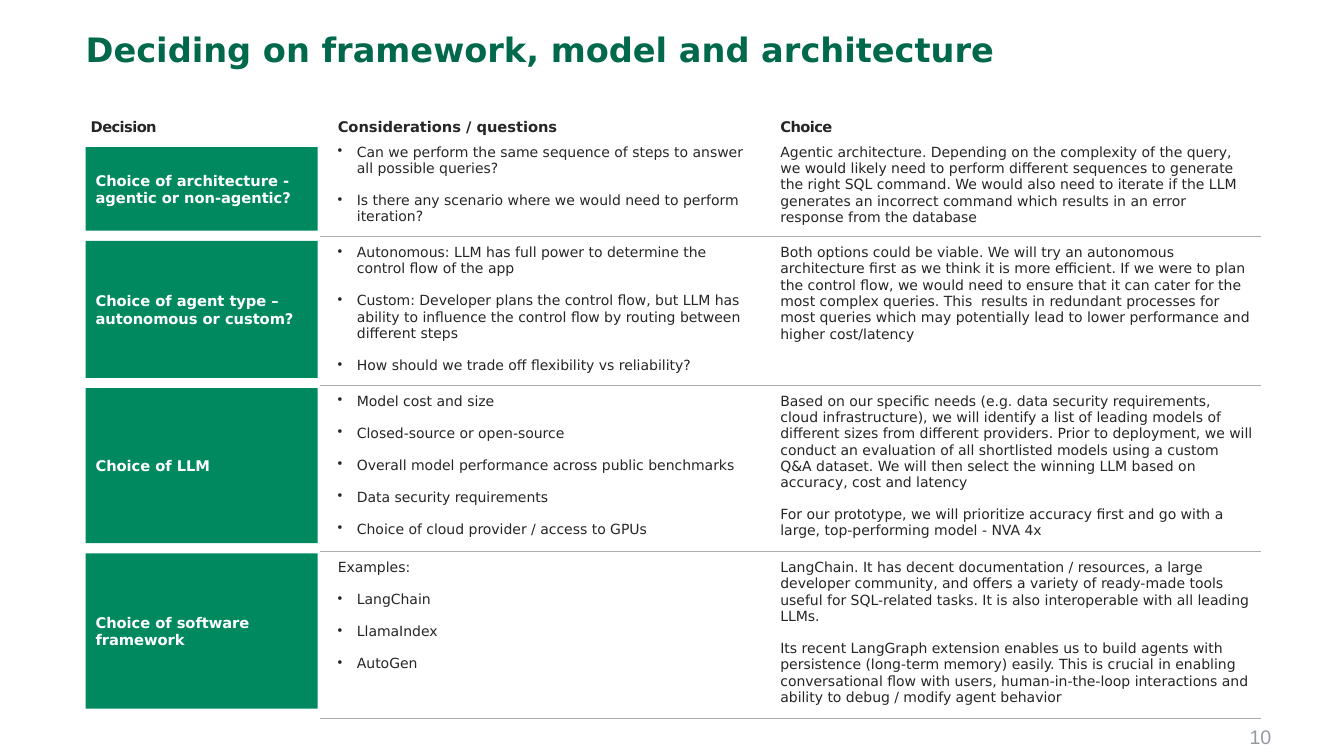
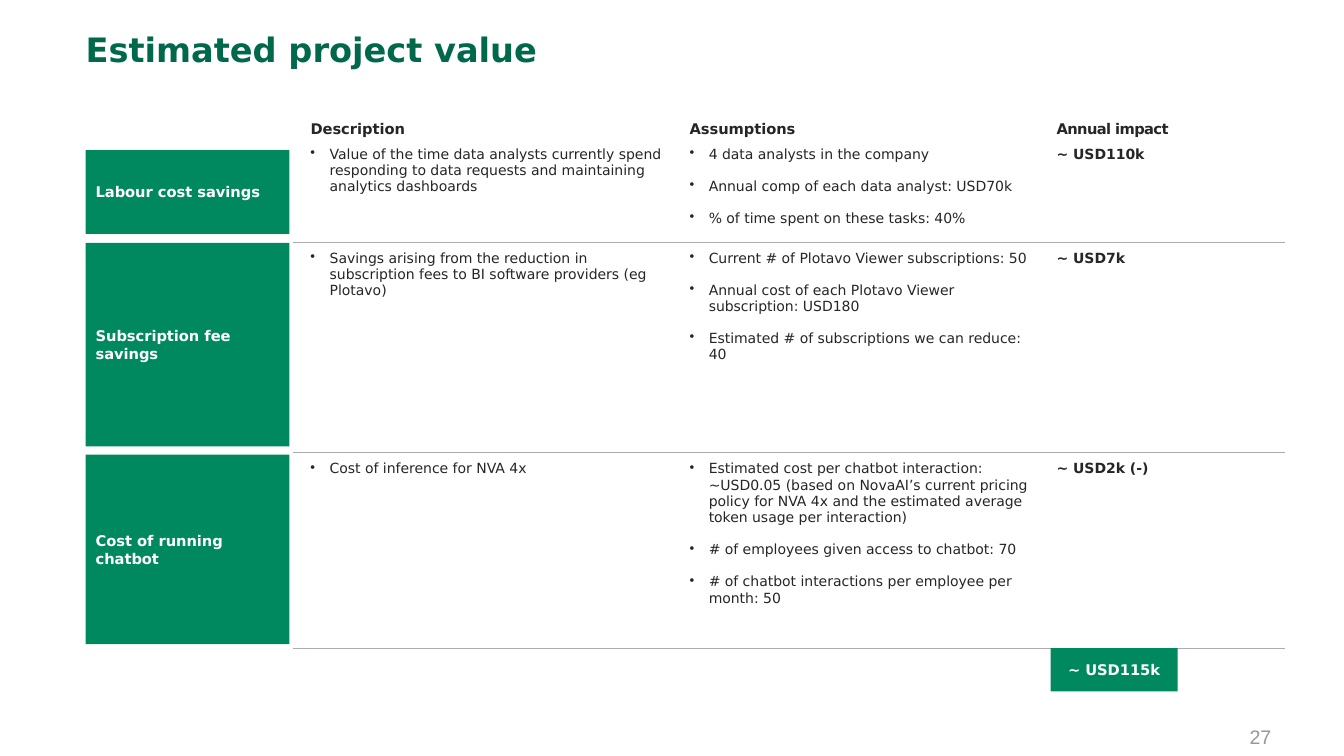
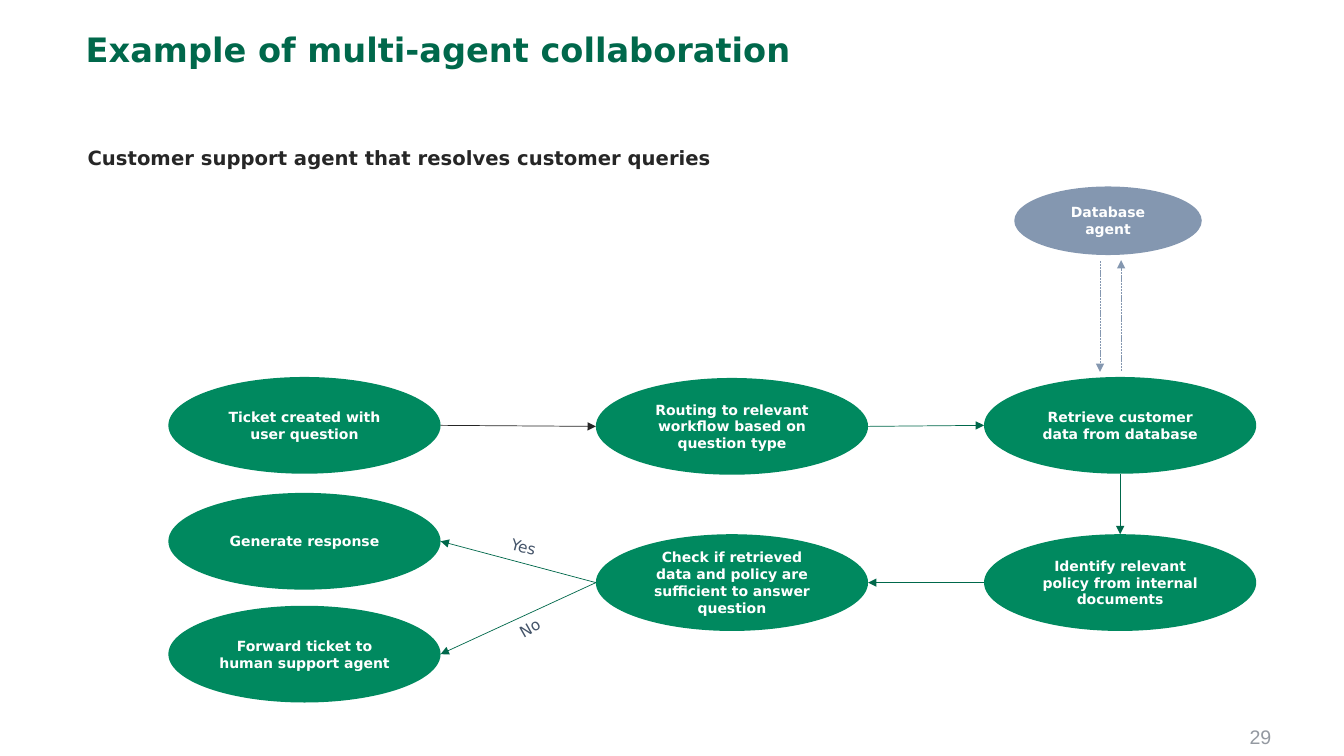
"""Three slides on choosing, valuing and combining LLM agents."""
from lxml import etree
from pptx import Presentation
from pptx.dml.color import RGBColor
from pptx.enum import dml, shapes, text
from pptx.oxml import ns
from pptx.util import Inches, Pt

COLOURS = {
    "title": "00684B", "green": "00895F", "slate": "8497B0", "ink": "262626",
    "white": "FFFFFF", "rule": "AFABAB", "number": "9499A1", "label": "445469",
}
FONT = "DejaVu Sans"
BULLET = "• "
CENTER = text.PP_ALIGN.CENTER

DECISIONS = {
    "title": "Deciding on framework, model and architecture",
    "number": 10,
    "left": 0.73, "top": 1.09,
    "columns": [2.45, 4.39, 4.93],
    "heights": [0.2, 0.87, 1.28, 1.44, 1.44],
    "header": ["Decision", "Considerations / questions", "Choice"],
    "tight": ["Decision", "Choice"],
    "bold_column": None,
    "label_width": 2.3,
    "labels": [
        ("Choice of architecture - agentic or non-agentic?", 1.46, 0.83),
        ("Choice of agent type – autonomous or custom?", 2.39, 1.36),
        ("Choice of LLM", 3.85, 1.54),
        ("Choice of software framework", 5.49, 1.54),
    ],
    "rows": [
        [
            ["• Can we perform the same sequence of steps to answer all possible queries?",
             "• Is there any scenario where we would need to perform iteration?"],
            ["Agentic architecture. Depending on the complexity of the query, we would likely "
             "need to perform different sequences to generate the right SQL command. We would "
             "also need to iterate if the LLM generates an incorrect command which results in "
             "an error response from the database"],
        ],
        [
            ["• Autonomous: LLM has full power to determine the control flow of the app",
             "• Custom: Developer plans the control flow, but LLM has ability to influence the "
             "control flow by routing between different steps",
             "• How should we trade off flexibility vs reliability?"],
            ["Both options could be viable. We will try an autonomous architecture first as we "
             "think it is more efficient. If we were to plan the control flow, we would need to "
             "ensure that it can cater for the most complex queries. This  results in redundant "
             "processes for most queries which may potentially lead to lower performance and "
             "higher cost/latency"],
        ],
        [
            ["• Model cost and size",
             "• Closed-source or open-source",
             "• Overall model performance across public benchmarks",
             "• Data security requirements",
             "• Choice of cloud provider / access to GPUs"],
            ["Based on our specific needs (e.g. data security requirements, cloud "
             "infrastructure), we will identify a list of leading models of different sizes "
             "from different providers. Prior to deployment, we will conduct an evaluation of "
             "all shortlisted models using a custom Q&A dataset. We will then select the "
             "winning LLM based on accuracy, cost and latency",
             "For our prototype, we will prioritize accuracy first and go with a large, "
             "top-performing model - NVA 4x"],
        ],
        [
            ["Examples:", "• LangChain", "• LlamaIndex", "• AutoGen"],
            ["LangChain. It has decent documentation / resources, a large developer community, "
             "and offers a variety of ready-made tools useful for SQL-related tasks. It is also "
             "interoperable with all leading LLMs.",
             "Its recent LangGraph extension enables us to build agents with persistence "
             "(long-term memory) easily. This is crucial in enabling conversational flow with "
             "users, human-in-the-loop interactions and ability to debug / modify agent "
             "behavior"],
        ],
    ],
}

VALUE = {
    "title": "Estimated project value",
    "number": 27,
    "left": 0.85, "top": 1.11,
    "columns": [2.06, 3.76, 3.64, 2.43],
    "heights": [0.25, 1.03, 2.09, 1.94],
    "header": ["", "Description", "Assumptions", "Annual impact"],
    "tight": ["Annual impact"],
    "bold_column": 3,
    "label_width": 2.02,
    "labels": [
        ("Labour cost savings", 1.49, 0.83),
        ("Subscription fee savings", 2.41, 2.02),
        ("Cost of running chatbot", 4.51, 1.88),
    ],
    "rows": [
        [
            ["• Value of the time data analysts currently spend responding to data requests and "
             "maintaining analytics dashboards"],
            ["• 4 data analysts in the company",
             "• Annual comp of each data analyst: USD70k",
             "• % of time spent on these tasks: 40%"],
            ["~ USD110k"],
        ],
        [
            ["• Savings arising from the reduction in subscription fees to BI software "
             "providers (eg Plotavo)"],
            ["• Current # of Plotavo Viewer subscriptions: 50",
             "• Annual cost of each Plotavo Viewer subscription: USD180",
             "• Estimated # of subscriptions we can reduce: 40"],
            ["~ USD7k"],
        ],
        [
            ["• Cost of inference for NVA 4x"],
            ["• Estimated cost per chatbot interaction: ~USD0.05 (based on NovaAI’s current "
             "pricing policy for NVA 4x and the estimated average token usage per interaction)",
             "• # of employees given access to chatbot: 70",
             "• # of chatbot interactions per employee per month: 50"],
            ["~ USD2k (-)"],
        ],
    ],
}
TOTAL = ("~ USD115k", (10.42, 6.43, 1.26, 0.43))

FLOW_TITLE = "Example of multi-agent collaboration"
FLOW_NUMBER = 29
FLOW_SUBTITLE = "Customer support agent that resolves customer queries"
STEP_SIZE = (2.7, 0.96)
STEPS = {
    "ticket": ("Ticket created with user question", 1.67, 3.74),
    "routing": ("Routing to relevant workflow based on question type", 5.91, 3.75),
    "retrieve": ("Retrieve customer data from database", 9.76, 3.74),
    "policy": ("Identify relevant policy from internal documents", 9.76, 5.3),
    "check": ("Check if retrieved data and policy are sufficient to answer question", 5.91, 5.3),
    "response": ("Generate response", 1.67, 4.89),
    "forward": ("Forward ticket to human support agent", 1.67, 6.01),
}
DATABASE = ("Database agent", (10.06, 1.85, 1.86, 0.68))
ARROWS = [
    ("ticket", "right", "routing", "left", "ink"),
    ("routing", "right", "retrieve", "left", "title"),
    ("retrieve", "bottom", "policy", "top", "title"),
    ("policy", "left", "check", "right", "title"),
    ("check", "left", "response", "right", "title"),
    ("check", "left", "forward", "right", "title"),
]
DATABASE_ARROWS = [((10.91, 2.59), (10.91, 3.69)), ((11.12, 3.68), (11.12, 2.58))]
BRANCHES = [("Yes", 4.96, 5.36, 14.8), ("No", 5.01, 5.93, 330.3)]
SIDES = {"left": (0, 0.5), "right": (1, 0.5), "top": (0.5, 0), "bottom": (0.5, 1)}


def rgb(name):
    return RGBColor.from_string(COLOURS[name])


def style(para, size, colour, bold=False, name=FONT):
    para.font.size = Pt(size)
    para.font.name = name
    para.font.bold = bold
    para.font.color.rgb = rgb(colour)


def add_text(page, words, place, size, colour, bold=False, name=FONT, margin=None):
    box = page.shapes.add_textbox(*map(Inches, place))
    frame = box.text_frame
    frame.word_wrap = True
    if margin is not None:
        frame.margin_left = frame.margin_right = Inches(margin)
        frame.margin_top = frame.margin_bottom = Inches(margin)
    para = frame.paragraphs[0]
    para.text = words
    style(para, size, colour, bold, name)
    return box


def add_block(page, kind, words, place, size, fill="green", align=None):
    block = page.shapes.add_shape(kind, *map(Inches, place))
    block.shadow.inherit = False
    block.fill.solid()
    block.fill.fore_color.rgb = rgb(fill)
    block.line.fill.background()
    frame = block.text_frame
    frame.word_wrap = True
    frame.vertical_anchor = text.MSO_ANCHOR.MIDDLE
    para = frame.paragraphs[0]
    para.text = words
    para.alignment = align or text.PP_ALIGN.LEFT
    style(para, size, "white", True)


def add_arrow(page, start, end, colour, dashed=False):
    arrow = page.shapes.add_connector(
        shapes.MSO_CONNECTOR.STRAIGHT, *map(Inches, start + end))
    arrow.line.width = Pt(0.5)
    arrow.line.color.rgb = rgb(colour)
    if dashed:
        arrow.line.dash_style = dml.MSO_LINE.SQUARE_DOT
    properties = arrow._element.spPr
    outline = properties.find(ns.qn("a:ln"))
    etree.SubElement(outline, ns.qn("a:tailEnd"), type="triangle")
    etree.SubElement(properties, ns.qn("a:effectLst"))


def add_page(deck, title, number):
    page = deck.slides.add_slide(deck.slide_layouts[6])
    footer = add_text(page, str(number), (9.61, 7.19, 3, 0.31), 14, "number",
                      name="Arial", margin=0)
    footer.text_frame.paragraphs[0].alignment = text.PP_ALIGN.RIGHT
    heading = add_text(page, title, (0.85, 0.33, 11.07, 1.03), 24, "title", True, margin=0)
    heading.text_frame.paragraphs[0].line_spacing = 0.9
    return page


def set_margins(cell, margin):
    cell.margin_left = cell.margin_right = Inches(margin)
    cell.margin_top = cell.margin_bottom = Inches(margin)


def set_indent(para, left, hanging=0):
    properties = para._p.get_or_add_pPr()
    properties.set("marL", str(Inches(left)))
    properties.set("indent", str(-Inches(hanging)))
    return properties


def add_rule(cell, edge):
    line = etree.Element(ns.qn("a:" + edge), w=str(Pt(0.5)))
    fill = etree.SubElement(line, ns.qn("a:solidFill"))
    etree.SubElement(fill, ns.qn("a:srgbClr"), val=COLOURS["rule"])
    cell._tc.get_or_add_tcPr().insert(0, line)


def fill_header(cell, words, tight):
    set_margins(cell, 0)
    para = cell.text_frame.paragraphs[0]
    para.text = words
    set_indent(para, 0.17)
    para.line_spacing = Pt(18.9)
    style(para, 10.5, "ink", True)
    if tight:
        para.runs[0]._r.get_or_add_rPr().set("spc", "-40")


def fill_body(cell, lines, bold):
    set_margins(cell, 0.08)
    frame = cell.text_frame
    for index, line in enumerate(lines):
        para = frame.add_paragraph() if index else frame.paragraphs[0]
        para.text = line.removeprefix(BULLET)
        if line.startswith(BULLET):
            properties = set_indent(para, 0.28, 0.19)
            etree.SubElement(properties, ns.qn("a:buChar"), char=BULLET.strip())
        else:
            set_indent(para, 0.09)
        if index:
            para.space_before = Pt(11.2)
        style(para, 10, "ink", bold)


def add_grid_page(deck, content):
    page = add_page(deck, content["title"], content["number"])
    columns, heights = content["columns"], content["heights"]
    place = (content["left"], content["top"], sum(columns), sum(heights))
    grid = page.shapes.add_table(len(heights), len(columns), *map(Inches, place)).table
    grid.horz_banding = False
    for column, width in zip(grid.columns, columns):
        column.width = Inches(width)
    for row, height in zip(grid.rows, heights):
        row.height = Inches(height)
    for cell in grid.iter_cells():
        cell.fill.background()
    for number, words in enumerate(content["header"]):
        fill_header(grid.cell(0, number), words, words in content["tight"])
    for row, entries in enumerate(content["rows"], 1):
        for column, lines in enumerate(entries, 1):
            cell = grid.cell(row, column)
            fill_body(cell, lines, column == content["bold_column"])
            add_rule(cell, "lnB")
            if row > 1:
                add_rule(cell, "lnT")
    for words, top, height in content["labels"]:
        add_block(page, shapes.MSO_SHAPE.RECTANGLE, words,
                  (0.85, top, content["label_width"], height), 10.5)
    return page


def side_point(step, side):
    _, left, top = STEPS[step]
    across, down = SIDES[side]
    return left + across * STEP_SIZE[0], top + down * STEP_SIZE[1]


def add_flow_page(deck):
    page = add_page(deck, FLOW_TITLE, FLOW_NUMBER)
    subtitle = add_text(page, FLOW_SUBTITLE, (0.77, 1.38, 11.52, 0.33), 14, "ink", True)
    subtitle.text_frame.paragraphs[0].line_spacing = 1.07
    oval = shapes.MSO_SHAPE.OVAL
    for words, left, top in STEPS.values():
        add_block(page, oval, words, (left, top) + STEP_SIZE, 10, align=CENTER)
    add_block(page, oval, *DATABASE, 10, "slate", CENTER)
    for source, leaving, target, entering, colour in ARROWS:
        add_arrow(page, side_point(source, leaving), side_point(target, entering), colour)
    for start, end in DATABASE_ARROWS:
        add_arrow(page, start, end, "slate", dashed=True)
    for words, left, top, angle in BRANCHES:
        add_text(page, words, (left, top, 1.05, 0.29), 11, "label").rotation = angle


def main():
    deck = Presentation()
    deck.slide_width, deck.slide_height = Inches(13.33), Inches(7.5)
    add_grid_page(deck, DECISIONS)
    value_page = add_grid_page(deck, VALUE)
    add_block(value_page, shapes.MSO_SHAPE.RECTANGLE, *TOTAL, 10.5, align=CENTER)
    add_flow_page(deck)
    deck.save("out.pptx")


if __name__ == "__main__":
    main()
